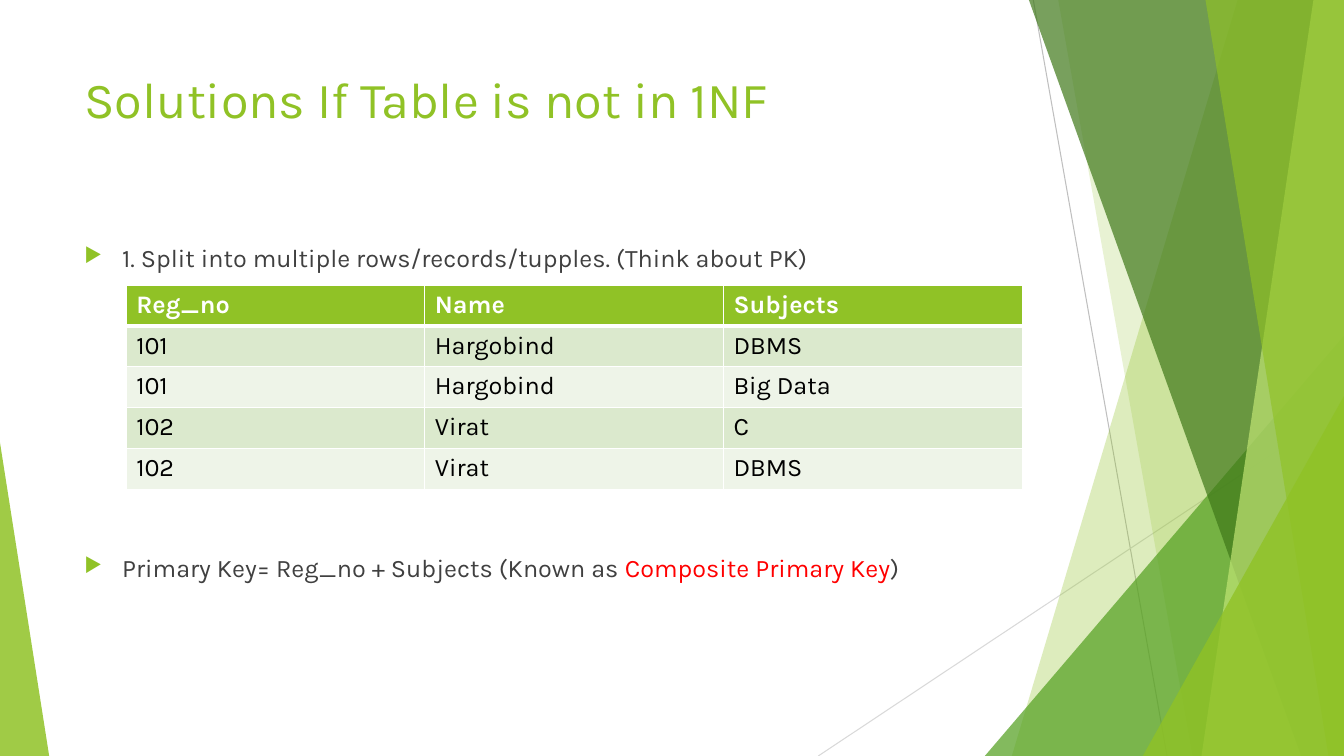
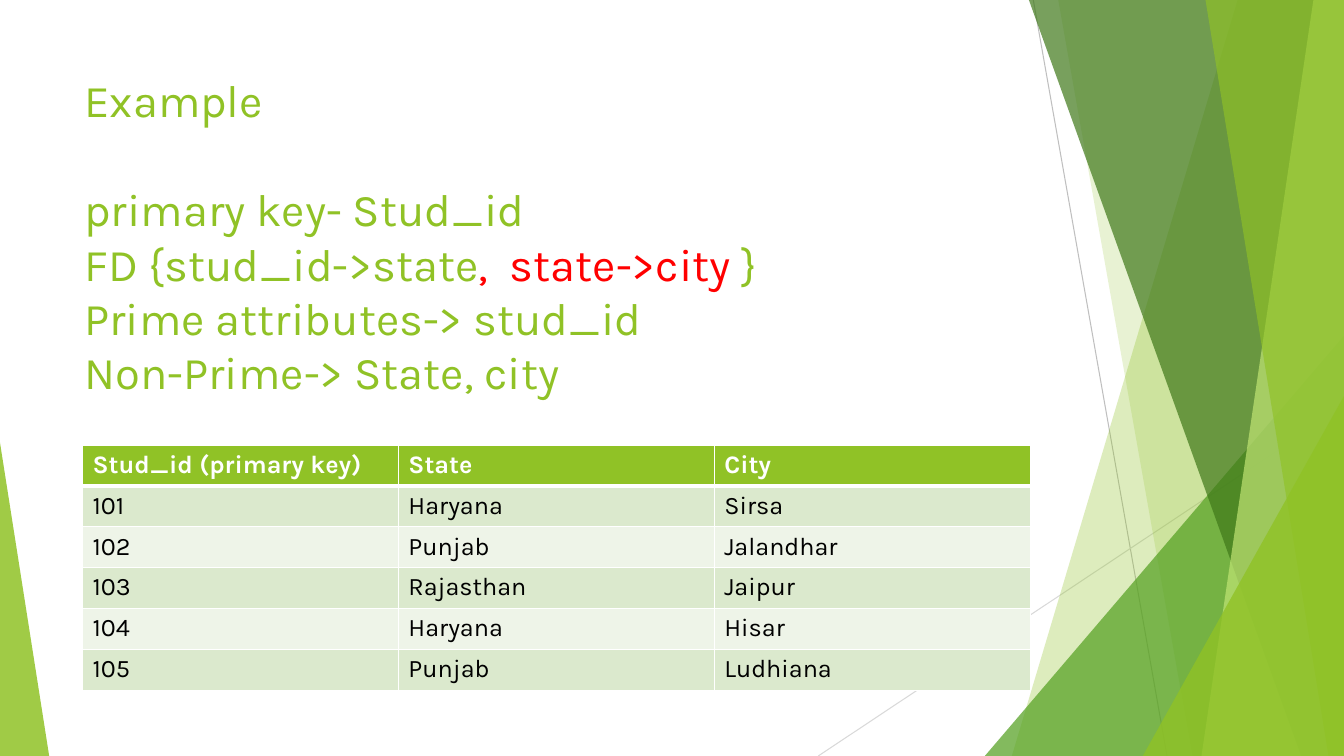
from dataclasses import dataclass

from lxml import etree
from pptx import Presentation
from pptx.dml.color import RGBColor
from pptx.enum.shapes import MSO_CONNECTOR, MSO_SHAPE
from pptx.enum.text import MSO_ANCHOR
from pptx.oxml.ns import qn
from pptx.slide import Slide
from pptx.util import Cm, Pt

STRAIGHT = MSO_CONNECTOR.STRAIGHT
TRIANGLE = MSO_SHAPE.ISOSCELES_TRIANGLE
TOP = MSO_ANCHOR.TOP

# Shared look; all lengths are in centimetres
FONT = "Karla"
WIDTH, HEIGHT = 33.87, 19.05
GREEN, RED, GREY = "90C226", "FF0000", "404040"
WHITE, BLACK = "FFFFFF", "000000"
ROW_FILLS = ("DBE9CD", "EEF4E8")
TEXT_LEFT, TEXT_WIDTH = 1.88, 23.88
ROW_HEIGHT = 1.03
BODY_SIZE = 18


@dataclass(frozen=True)
class Ray:
    start: tuple[float, float]
    end: tuple[float, float]
    color: str


@dataclass(frozen=True)
class Band:
    """Full-height band from a slanted left edge to the slide's right edge."""
    top_x: float
    bottom_x: float
    color: str
    opacity: int


@dataclass(frozen=True)
class Corner:
    """Triangle standing on the slide's bottom edge."""
    left: float
    top: float
    width: float
    apex: float
    color: str
    opacity: int


@dataclass(frozen=True)
class Piece:
    text: str
    color: str


@dataclass(frozen=True)
class Line:
    pieces: list[Piece]
    space_before: float = 0
    bullet: bool = False


@dataclass(frozen=True)
class Grid:
    left: float
    top: float
    width: float
    header_height: float
    rows: list[tuple[str, ...]]


RAYS = [
    Ray((26.04, 0), (29.41, HEIGHT), "BFBFBF"),
    Ray((WIDTH, 10.24), (20.62, HEIGHT), "D9D9D9"),
]
FACETS = [
    Band(31.19, 25.5, GREEN, 30),
    Band(26.67, 30.05, GREEN, 20),
    Corner(24.82, 8.46, WIDTH - 24.82, 1, "54A021", 72),
    Band(25.93, 32.79, "3F7819", 70),
    Band(33.1, 30.28, "C0E474", 70),
    Band(30.38, 33.48, GREEN, 65),
    Corner(28.8, 9.98, WIDTH - 28.8, 1, GREEN, 80),
    Corner(0, 11.15, 1.24, 0, GREEN, 85),
]

# Content
SOLUTION_TITLE = [Line([Piece("Solutions If Table is not in 1NF", GREEN)])]
SOLUTION_STEPS = [
    Line([Piece("1. Split into multiple rows/records/tupples. (Think about PK)", GREY)],
         bullet=True),
    Line([Piece("Primary Key= Reg_no + Subjects (Known as ", GREY),
          Piece("Composite Primary Key", RED),
          Piece(")", GREY)], space_before=199.6, bullet=True),
]
SUBJECTS = Grid(3.18, 7.18, 22.58, ROW_HEIGHT, [
    ("Reg_no", "Name", "Subjects"),
    ("101", "Hargobind", "DBMS"),
    ("101", "Hargobind", "Big Data"),
    ("102", "Virat", "C"),
    ("102", "Virat", "DBMS"),
])
EXAMPLE_TITLE = [
    Line([Piece("Example", GREEN)]),
    Line([Piece("primary key- Stud_id", GREEN)], space_before=38.9),
    Line([Piece("FD {stud_id->state", GREEN),
          Piece(",  state->city ", RED),
          Piece("}", GREEN)]),
    Line([Piece("Prime attributes-> stud_id", GREEN)]),
    Line([Piece("Non-Prime-> State, city", GREEN)]),
]
STUDENTS = Grid(2.08, 11.23, 23.88, 0.94, [
    ("Stud_id (primary key)", "State", "City"),
    ("101", "Haryana", "Sirsa"),
    ("102", "Punjab", "Jalandhar"),
    ("103", "Rajasthan", "Jaipur"),
    ("104", "Haryana", "Hisar"),
    ("105", "Punjab", "Ludhiana"),
])


def rgb(color: str) -> RGBColor:
    return RGBColor.from_string(color)


def add_run(paragraph, text: str, size: float, color: str, bold: bool = False) -> None:
    run = paragraph.add_run()
    run.text = text
    run.font.name = FONT
    run.font.size = Pt(size)
    run.font.bold = bold
    run.font.color.rgb = rgb(color)


def add_ray(slide: Slide, ray: Ray) -> None:
    connector = slide.shapes.add_connector(
        STRAIGHT, *(Cm(value) for value in ray.start + ray.end))
    connector.line.color.rgb = rgb(ray.color)
    connector.line.width = Pt(0.75)
    etree.SubElement(connector._element.spPr, qn("a:effectLst"))


def add_facet(slide: Slide, facet: Band | Corner) -> None:
    if isinstance(facet, Band):
        outline = slide.shapes.build_freeform(Cm(facet.top_x), 0)
        outline.add_line_segments([
            (Cm(WIDTH), 0), (Cm(WIDTH), Cm(HEIGHT)), (Cm(facet.bottom_x), Cm(HEIGHT))])
        shape = outline.convert_to_shape()
    else:
        shape = slide.shapes.add_shape(
            TRIANGLE, Cm(facet.left), Cm(facet.top),
            Cm(facet.width), Cm(HEIGHT - facet.top))
        shape.adjustments[0] = facet.apex
    shape.shadow.inherit = False
    shape.line.fill.background()
    shape.fill.solid()
    shape.fill.fore_color.rgb = rgb(facet.color)
    fill_color = shape._element.spPr.find(f"{qn('a:solidFill')}/{qn('a:srgbClr')}")
    etree.SubElement(fill_color, qn("a:alpha"), val=str(facet.opacity * 1000))


def add_bullet(paragraph) -> None:
    properties = paragraph._p.get_or_add_pPr()
    properties.set("marL", str(Cm(0.95)))
    properties.set("indent", str(-Cm(0.95)))
    color = etree.SubElement(properties, qn("a:buClr"))
    etree.SubElement(color, qn("a:srgbClr"), val=GREEN)
    etree.SubElement(properties, qn("a:buSzPct"), val="80000")
    etree.SubElement(properties, qn("a:buChar"), char="▶")


def add_text(slide: Slide, top: float, height: float, size: float,
             lines: list[Line]) -> None:
    frame = slide.shapes.add_textbox(
        Cm(TEXT_LEFT), Cm(top), Cm(TEXT_WIDTH), Cm(height)).text_frame
    frame.word_wrap = True
    frame.vertical_anchor = TOP
    for index, line in enumerate(lines):
        paragraph = frame.add_paragraph() if index else frame.paragraphs[0]
        paragraph.space_before = Pt(line.space_before)
        if line.bullet:
            add_bullet(paragraph)
        for piece in line.pieces:
            add_run(paragraph, piece.text, size, piece.color)


def add_borders(cell, top: float, bottom: float) -> None:
    properties = cell._tc.get_or_add_tcPr()
    for side, width in (("L", 1), ("R", 1), ("T", top), ("B", bottom)):
        border = etree.SubElement(properties, qn(f"a:ln{side}"), w=str(Pt(width)))
        fill = etree.SubElement(border, qn("a:solidFill"))
        etree.SubElement(fill, qn("a:srgbClr"), val=WHITE)


def add_grid(slide: Slide, grid: Grid) -> None:
    row_count, column_count = len(grid.rows), len(grid.rows[0])
    height = grid.header_height + ROW_HEIGHT * (row_count - 1)
    table = slide.shapes.add_table(
        row_count, column_count, Cm(grid.left), Cm(grid.top),
        Cm(grid.width), Cm(height)).table
    for column in table.columns:
        column.width = Cm(grid.width / column_count)
    for row_index, values in enumerate(grid.rows):
        header = row_index == 0
        table.rows[row_index].height = Cm(grid.header_height if header else ROW_HEIGHT)
        for column_index, value in enumerate(values):
            cell = table.cell(row_index, column_index)
            add_borders(cell, top=3 if row_index == 1 else 1, bottom=3 if header else 1)
            cell.fill.solid()
            cell.fill.fore_color.rgb = rgb(
                GREEN if header else ROW_FILLS[(row_index - 1) % 2])
            add_run(cell.text_frame.paragraphs[0], value, BODY_SIZE,
                    WHITE if header else BLACK, bold=header)


def add_base_slide(deck) -> Slide:
    slide = deck.slides.add_slide(deck.slide_layouts[6])
    for ray in RAYS:
        add_ray(slide, ray)
    for facet in FACETS:
        add_facet(slide, facet)
    return slide


def main() -> None:
    deck = Presentation()
    deck.slide_width, deck.slide_height = Cm(WIDTH), Cm(HEIGHT)

    # Solutions for first normal form
    solution = add_base_slide(deck)
    add_text(solution, 1.6, 3.66, 36, SOLUTION_TITLE)
    add_text(solution, 5.99, 10.77, BODY_SIZE, SOLUTION_STEPS)
    add_grid(solution, SUBJECTS)

    # Example with functional dependencies
    example = add_base_slide(deck)
    add_text(example, 1.7, 9, 32.4, EXAMPLE_TITLE)
    add_grid(example, STUDENTS)

    deck.save("out.pptx")


if __name__ == "__main__":
    main()
